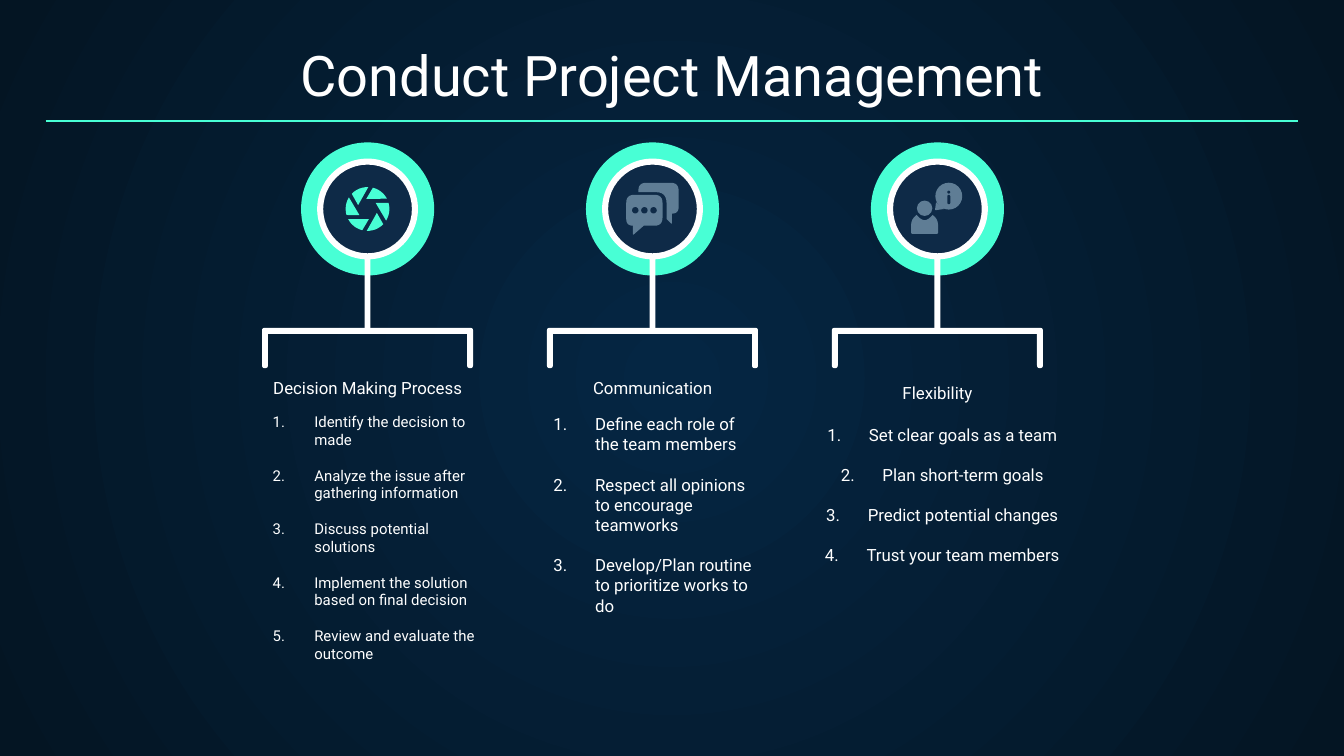
from collections import namedtuple
from math import cos, radians, sin

from lxml import etree
from pptx import Presentation
from pptx.dml.color import RGBColor
from pptx.enum.shapes import MSO_CONNECTOR as Connector, MSO_SHAPE as Shape
from pptx.enum.text import MSO_ANCHOR as Anchor, PP_ALIGN as Align
from pptx.oxml.ns import qn
from pptx.util import Inches, Pt

COLUMNS, ROWS = 100, 56.25
CELL = Inches(0.1)
FONT = "Roboto"
WHITE, MINT, NAVY, SLATE = "FFFFFF", "48FFD5", "0E2A47", "5F7D95"
CENTER, EDGE = "052643", "041523"

Box = namedtuple("Box", "left top width height")
Topic = namedtuple("Topic", "heading heading_top items list_box size align icon")


def grid(cells):
    return round(cells * CELL)


def color(value):
    return RGBColor.from_string(value)


def paint(shape, fill):
    shape.shadow.inherit = False
    shape.fill.solid()
    shape.fill.fore_color.rgb = color(fill)
    shape.line.fill.background()
    return shape


def add_preset(slide, kind, box, fill):
    return paint(slide.shapes.add_shape(kind, *map(grid, box)), fill)


def add_circle(slide, x, y, diameter, fill, kind=Shape.OVAL):
    box = Box(x - diameter / 2, y - diameter / 2, diameter, diameter)
    return add_preset(slide, kind, box, fill)


def toward(start, end, distance):
    dx, dy = end[0] - start[0], end[1] - start[1]
    share = distance / (dx * dx + dy * dy) ** 0.5
    return start[0] + dx * share, start[1] + dy * share


def round_corners(corners, steps=6):
    points = []
    for index, (x, y, radius) in enumerate(corners):
        following = corners[(index + 1) % len(corners)]
        if not radius:
            points.append((x, y))
            continue
        a = toward((x, y), corners[index - 1], radius)
        b = toward((x, y), following, radius)
        for step in range(steps + 1):
            t = step / steps
            weights = (1 - t) ** 2, 2 * t * (1 - t), t * t
            points.append(tuple(sum(w * p for w, p in zip(weights, axis))
                                for axis in zip(a, (x, y), b)))
    return points


def add_outline(slide, x, y, corners, fill):
    points = [(grid(x + px), grid(y + py)) for px, py in round_corners(corners)]
    builder = slide.shapes.build_freeform(*points[0])
    builder.add_line_segments(points[1:], close=True)
    return paint(builder.convert_to_shape(), fill)


def add_text(slide, box, lines, size, align, anchor=Anchor.TOP, numbered=False):
    frame = slide.shapes.add_textbox(*map(grid, box)).text_frame
    frame.word_wrap = True
    frame.vertical_anchor = anchor
    frame.margin_left = frame.margin_right = grid(1)
    frame.margin_top = frame.margin_bottom = grid(1)
    for index, line in enumerate(lines):
        paragraph = frame.add_paragraph() if index else frame.paragraphs[0]
        paragraph.alignment = align
        if index:
            paragraph.space_before = Pt(round(size * 1.19, 1))
        if numbered:
            add_number(paragraph)
        run = paragraph.add_run()
        run.text = line
        run.font.name = FONT
        run.font.size = Pt(size)
        run.font.color.rgb = color(WHITE)


def add_number(paragraph):
    properties = paragraph._p.get_or_add_pPr()
    properties.set("marL", str(grid(5)))
    properties.set("indent", str(grid(-3.1)))
    bullet_color = etree.SubElement(properties, qn("a:buClr"))
    etree.SubElement(bullet_color, qn("a:srgbClr"), val=WHITE)
    etree.SubElement(properties, qn("a:buFont"), typeface=FONT)
    etree.SubElement(properties, qn("a:buAutoNum"), type="arabicPeriod")


def draw_shutter(slide, x, y):
    for turn in range(0, 360, 60):
        arc = [(1.63 * cos(radians(a)), 1.63 * sin(radians(a)))
               for a in range(-76, -27, 8)]
        blade = arc + [(-0.1, -0.75)]
        c, s = cos(radians(turn)), sin(radians(turn))
        corners = [(px * c - py * s, px * s + py * c, 0) for px, py in blade]
        add_outline(slide, x, y, corners, MINT)


def draw_chat(slide, x, y):
    front = [(-1.95, -1.05, 0.6), (0.75, -1.05, 0.6), (0.75, 1.25, 0.6),
             (-0.65, 1.25, 0), (-1.45, 1.95, 0.1), (-1.45, 1.25, 0),
             (-1.95, 1.25, 0.5)]
    back = [(-1.05, -1.95, 0.6), (1.95, -1.95, 0.6), (1.95, 0.35, 0.5),
            (1.45, 0.35, 0), (1.45, 1.15, 0.15), (1.05, 0.75, 0),
            (1.05, -1.25, 0.8), (-1.05, -1.25, 0)]
    for bubble in (front, back):
        add_outline(slide, x, y, bubble, SLATE)
    for dot in range(3):
        add_circle(slide, x - 1.28 + 0.68 * dot, y + 0.1, 0.48, NAVY)


def draw_advisor(slide, x, y):
    body = [(-1.55, 0.45, 0), (-0.95, 1.05, 0.6), (-0.35, 0.45, 0),
            (0.05, 0.8, 0.4), (0.05, 1.85, 0.1), (-1.95, 1.85, 0.1),
            (-1.95, 0.8, 0.4)]
    tail = [(-0.1, -0.5, 0), (0.5, 0, 0), (-0.18, 0.1, 0.1)]
    add_circle(slide, x - 0.95, y - 0.05, 1.15, SLATE)
    add_outline(slide, x, y, body, SLATE)
    add_circle(slide, x + 0.85, y - 0.95, 2, SLATE)
    add_outline(slide, x, y, tail, SLATE)
    add_circle(slide, x + 0.85, y - 1.25, 0.22, NAVY)
    stem = add_preset(slide, Shape.ROUNDED_RECTANGLE,
                      Box(x + 0.74, y - 1.05, 0.22, 0.7), NAVY)
    stem.adjustments[0] = 0.5


def draw_badge(slide, x, y, icon):
    add_circle(slide, x, y, 9.9, MINT)
    stem = add_preset(slide, Shape.ROUNDED_RECTANGLE,
                      Box(x - 0.22, y, 0.44, 9.25), WHITE)
    stem.adjustments[0] = 0.5
    add_circle(slide, x, y, 7, NAVY)
    ring = add_circle(slide, x, y, 7.5, WHITE, Shape.DONUT)
    ring.adjustments[0] = 0.06
    icon(slide, x, y)


def draw_bracket(slide, box):
    width, height, bar = box.width, box.height, 0.44
    corners = [(0, 0, 0.2), (width, 0, 0.2),
               (width, height, 0.22), (width - bar, height, 0.22),
               (width - bar, bar, 0), (bar, bar, 0),
               (bar, height, 0.22), (0, height, 0.22)]
    add_outline(slide, box.left, box.top, corners, WHITE)


def draw_topic(slide, box, topic):
    middle = box.left + box.width / 2
    draw_bracket(slide, Box(middle - 7.85, box.top + 13.8, 15.7, 3))
    draw_badge(slide, middle, box.top + 4.95, topic.icon)
    add_text(slide, Box(box.left, box.top + topic.heading_top, box.width, 2.1),
             [topic.heading], 9, Align.CENTER, Anchor.BOTTOM)
    left, top, width, height = topic.list_box
    add_text(slide, Box(box.left + left, box.top + top, width, height),
             topic.items, topic.size, topic.align, numbered=True)


def draw_title(slide, box, title):
    add_text(slide, box, [title], 30, Align.CENTER, Anchor.BOTTOM)
    bottom = box.top + box.height
    rule = slide.shapes.add_connector(
        Connector.STRAIGHT, grid(box.left), grid(bottom),
        grid(box.left + box.width), grid(bottom))
    rule.line.color.rgb = color(MINT)
    rule.line.width = Pt(0.75)
    etree.SubElement(rule._element.spPr, qn("a:effectLst"))


def draw_background(slide):
    fill = slide.background.fill
    fill.gradient()
    for stop, position, value in zip(fill.gradient_stops, (0, 1), (CENTER, EDGE)):
        stop.position = position
        stop.color.rgb = color(value)
    gradient = slide._element.find(".//" + qn("a:gradFill"))
    gradient.remove(gradient.find(qn("a:lin")))
    glow = etree.SubElement(gradient, qn("a:path"), {"path": "circle"})
    etree.SubElement(glow, qn("a:fillToRect"),
                     {side: "50000" for side in "ltrb"})


TOPICS = [
    Topic("Decision Making Process", 17.7,
          ["Identify the decision to made",
           "Analyze the issue after gathering information",
           "Discuss potential solutions",
           "Implement the solution based on final decision",
           "Review and evaluate the outcome"],
          Box(1.4, 19.1, 19.8, 5.5), 8, Align.LEFT, draw_shutter),
    Topic("Communication", 17.7,
          ["Define each role of the team members",
           "Respect all opinions to encourage teamworks",
           "Develop/Plan routine to prioritize works to do"],
          Box(1.1, 19.2, 19, 5.5), 9, Align.LEFT, draw_chat),
    Topic("Flexibility", 18,
          ["Set clear goals as a team", "Plan short-term goals",
           "Predict potential changes", "Trust your team members"],
          Box(-0.6, 20, 22.7, 5.5), 9, Align.CENTER, draw_advisor),
]


def main():
    presentation = Presentation()
    presentation.slide_width, presentation.slide_height = grid(COLUMNS), grid(ROWS)
    slide = presentation.slides.add_slide(presentation.slide_layouts[6])
    draw_background(slide)
    draw_title(slide, Box(3.4, 2.4, 93.2, 6.6), "Conduct Project Management")
    for index, topic in enumerate(TOPICS):
        draw_topic(slide, Box(16 + 21.2 * index, 10.6, 22.7, 39), topic)
    presentation.save("out.pptx")


if __name__ == "__main__":
    main()
